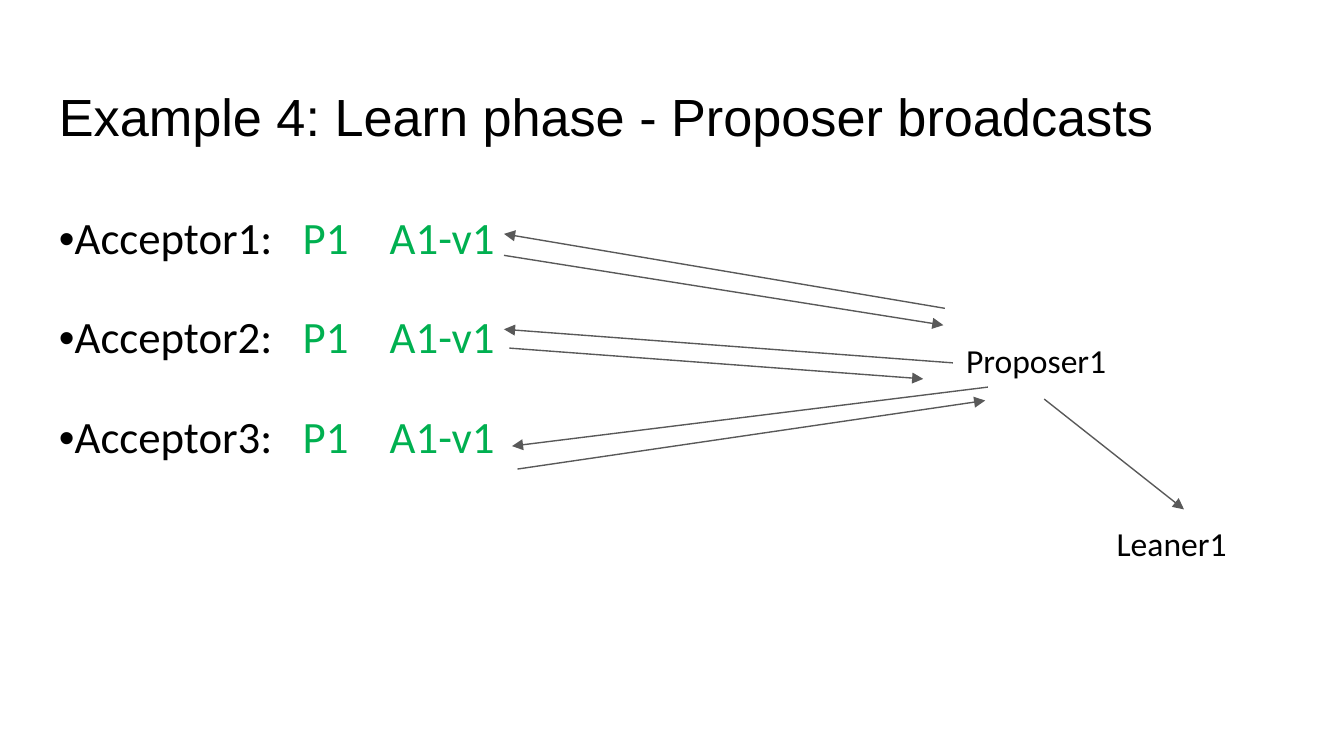
from lxml.etree import SubElement
from pptx import Presentation
from pptx.dml.color import RGBColor
from pptx.enum.shapes import MSO_CONNECTOR
from pptx.oxml.ns import qn
from pptx.util import Pt

BLACK = RGBColor(0x00, 0x00, 0x00)
GREEN = RGBColor(0x00, 0xB0, 0x50)
GRAY = RGBColor(0x59, 0x59, 0x59)

ACCEPTORS = ("Acceptor1:", "Acceptor2:", "Acceptor3:")
TAB_STOPS = (130.6, 177.2)

# Start and end points of each message; the head is at the end.
MESSAGES = (
    ((506.2, 165.2), (270, 125.3)),
    ((270, 136.8), (505.4, 174.2)),
    ((510.5, 194.4), (270, 176.4)),
    ((272.9, 186.5), (494.6, 203)),
    ((529.2, 207.4), (274.3, 239)),
    ((277.2, 251.3), (527.8, 214.6)),
    ((559.4, 213.8), (634.3, 272.9)),
)


def add_text_frame(page, left, top, width, height, inset_top=7.2):
    box = page.shapes.add_textbox(Pt(left), Pt(top), Pt(width), Pt(height))
    frame = box.text_frame
    frame.word_wrap = True
    frame.margin_left = frame.margin_right = frame.margin_bottom = Pt(7.2)
    frame.margin_top = Pt(inset_top)
    return frame


def add_span(para, text, size, font_name="Calibri", color=BLACK):
    span = para.add_run()
    span.text = text
    span.font.size = Pt(size)
    span.font.name = font_name
    span.font.color.rgb = color


def add_title(page, left, top, width, height):
    frame = add_text_frame(page, left, top, width, height, inset_top=10)
    add_span(frame.paragraphs[0], "Example 4: Learn phase - Proposer broadcasts",
             28, "Arial")


def add_acceptors(page, left, top, width, height):
    """List each acceptor with its promise and accepted value in tabbed columns."""
    frame = add_text_frame(page, left, top, width, height)
    for index, acceptor in enumerate(ACCEPTORS):
        para = frame.add_paragraph() if index else frame.paragraphs[0]
        para.line_spacing = 1.5
        para.space_before = Pt(10)
        tab_list = SubElement(para._p.get_or_add_pPr(), qn("a:tabLst"))
        for stop in TAB_STOPS:
            SubElement(tab_list, qn("a:tab"), pos=str(Pt(stop)), algn="l")
        add_span(para, "•", 24, "Arial")
        add_span(para, f"{acceptor}\t", 24)
        add_span(para, "P1\tA1-v1", 24, color=GREEN)


def add_role(page, name, left, top, width, height):
    frame = add_text_frame(page, left, top, width, height)
    add_span(frame.paragraphs[0], name, 18)


def add_message(page, start, end):
    arrow = page.shapes.add_connector(
        MSO_CONNECTOR.STRAIGHT, *(Pt(value) for value in start + end))
    arrow.line.color.rgb = GRAY
    arrow.line.width = Pt(0.75)
    SubElement(arrow.line._get_or_add_ln(), qn("a:tailEnd"),
               type="triangle", w="med", len="med")
    SubElement(arrow._element.spPr, qn("a:effectLst"))


def main():
    deck = Presentation()
    deck.slide_width, deck.slide_height = Pt(720), Pt(405)
    page = deck.slides.add_slide(deck.slide_layouts[6])
    add_title(page, 24.5, 35.3, 671, 45.4)
    add_acceptors(page, 24.5, 90.7, 671, 269.3)
    add_role(page, "Leaner1", 591.1, 272.9, 85.7, 38.9)
    add_role(page, "Proposer1", 510.5, 175, 97.2, 38.9)
    for start, end in MESSAGES:
        add_message(page, start, end)
    deck.save("out.pptx")


if __name__ == "__main__":
    main()
